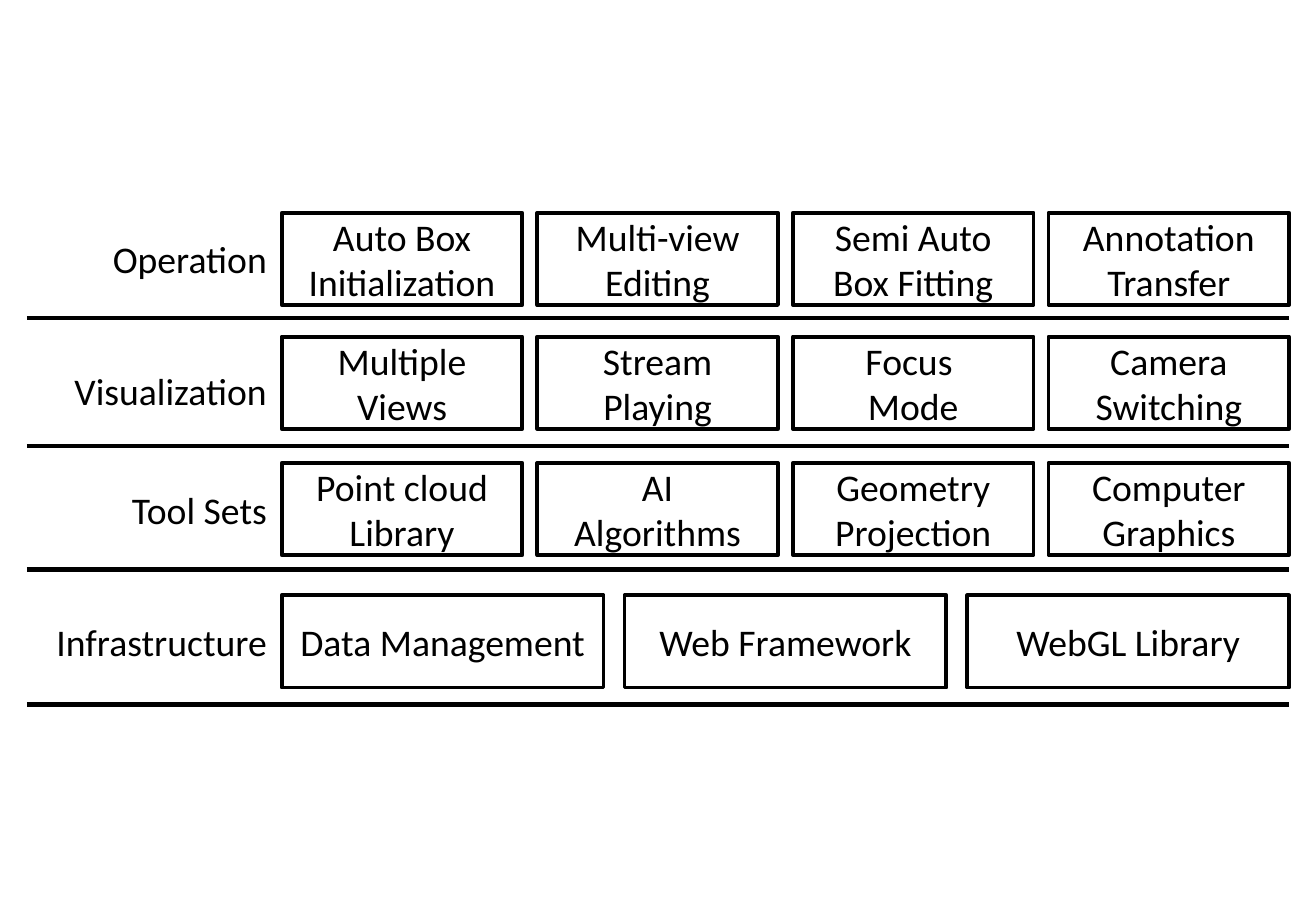
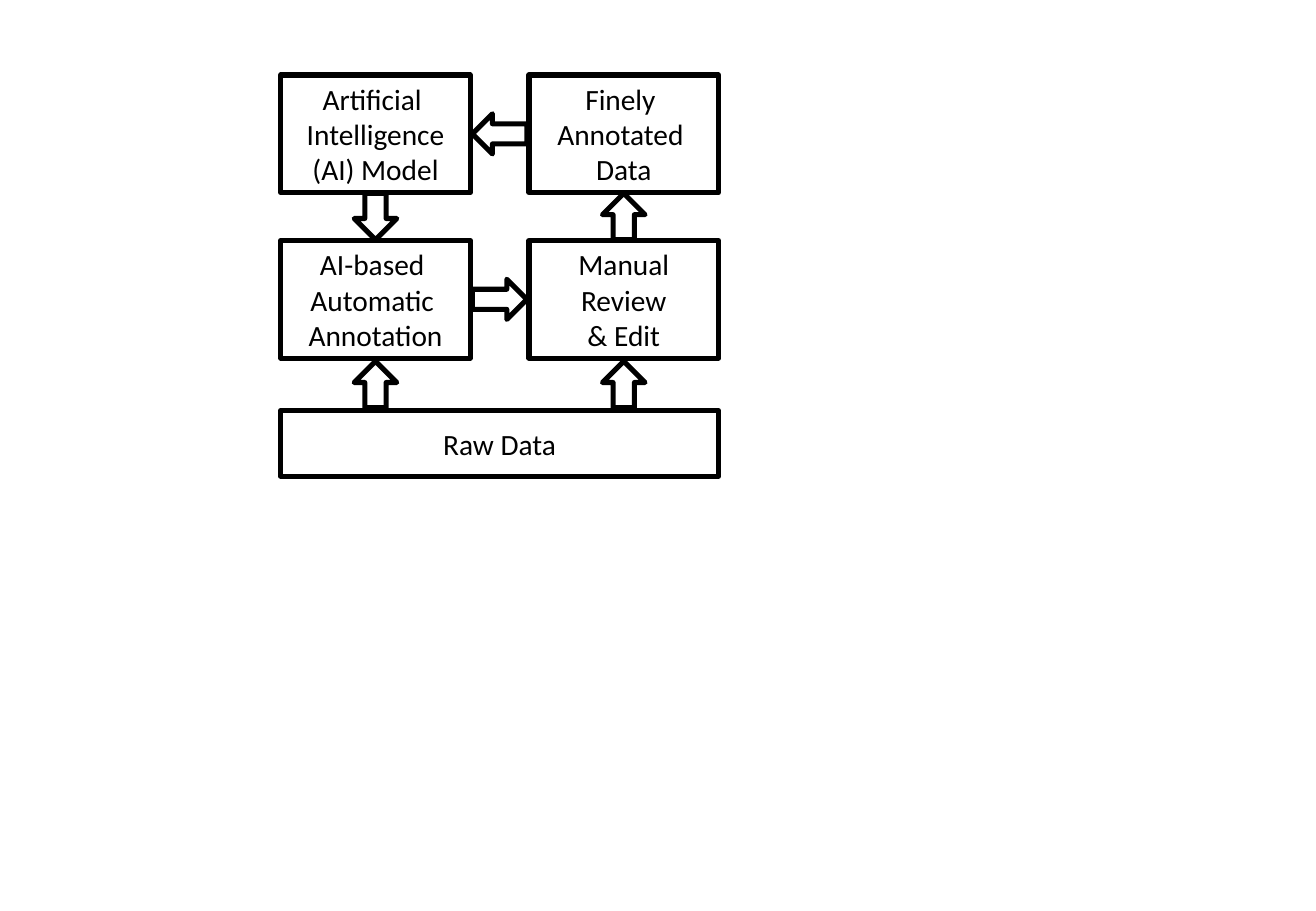
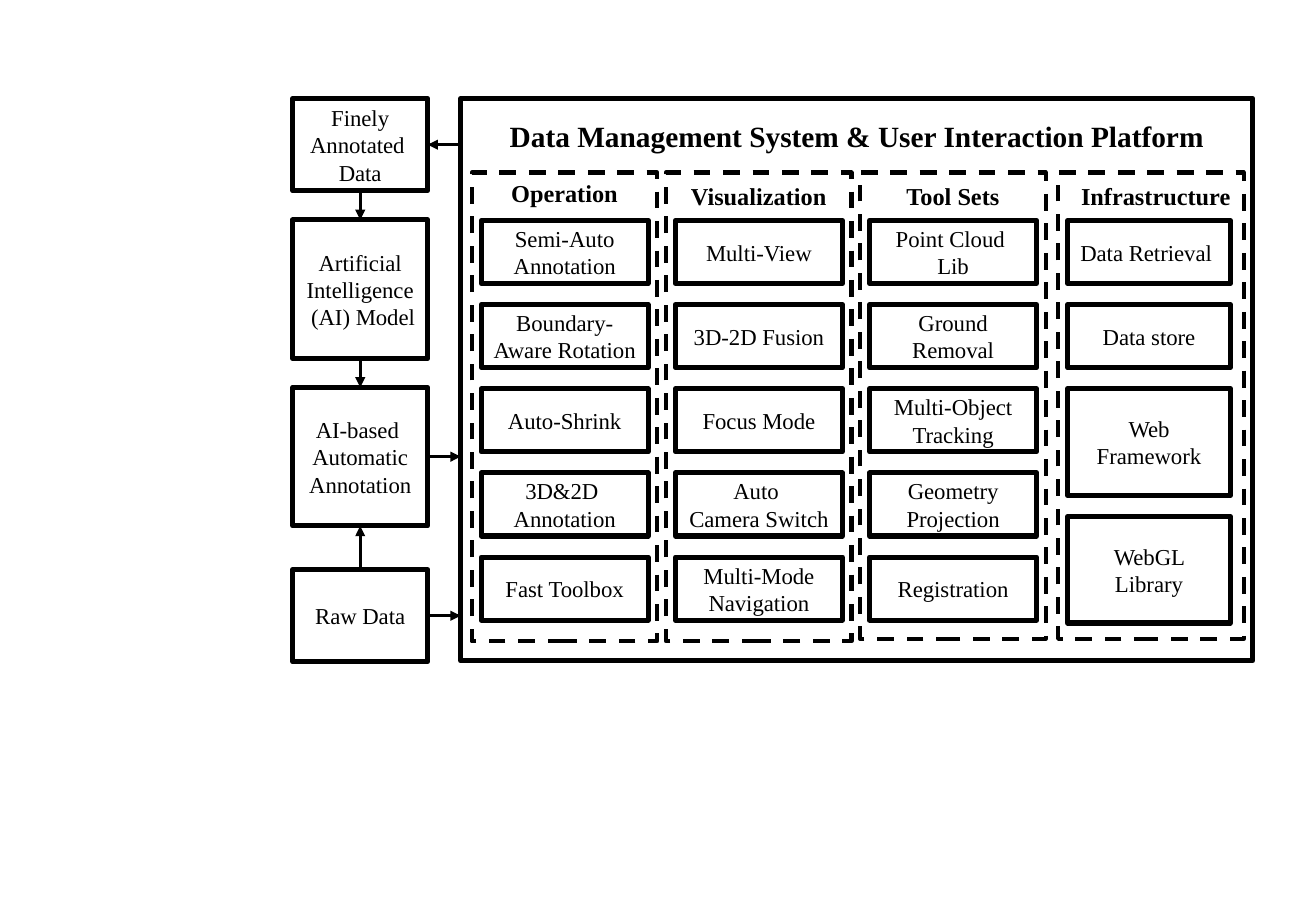
from typing import NamedTuple

from lxml import etree
from pptx import Presentation
from pptx.dml.color import RGBColor
from pptx.enum.dml import MSO_LINE
from pptx.enum.shapes import MSO_CONNECTOR, MSO_SHAPE
from pptx.enum.text import MSO_ANCHOR, PP_ALIGN
from pptx.oxml.ns import qn
from pptx.util import Cm, Pt

BLACK = RGBColor(0x00, 0x00, 0x00)
WHITE = RGBColor(0xFF, 0xFF, 0xFF)

RECTANGLE = MSO_SHAPE.RECTANGLE
LEFT_ARROW, RIGHT_ARROW = MSO_SHAPE.LEFT_ARROW, MSO_SHAPE.RIGHT_ARROW
UP_ARROW, DOWN_ARROW = MSO_SHAPE.UP_ARROW, MSO_SHAPE.DOWN_ARROW
STRAIGHT = MSO_CONNECTOR.STRAIGHT
DASH = MSO_LINE.DASH
TOP, MIDDLE = MSO_ANCHOR.TOP, MSO_ANCHOR.MIDDLE
CENTER, RIGHT = PP_ALIGN.CENTER, PP_ALIGN.RIGHT

LAYER_FONT = {"name": "Calibri", "size": Pt(22.3)}
CYCLE_FONT = {"name": "Calibri", "size": Pt(17.4)}
CARD_FONT = {"name": "Times New Roman", "size": Pt(13.5)}
HEADING_FONT = {"name": "Times New Roman", "size": Pt(14.4), "bold": True}
PLATFORM_FONT = {"name": "Times New Roman", "size": Pt(17.4), "bold": True}

BLANK_LAYOUT = 6


class Box(NamedTuple):
    """A rectangle in centimetres."""
    left: float
    top: float
    width: float
    height: float

    @property
    def right(self):
        return self.left + self.width

    @property
    def bottom(self):
        return self.top + self.height

    @property
    def center(self):
        return self.left + self.width / 2

    @property
    def middle(self):
        return self.top + self.height / 2

    def lengths(self):
        """Return the four values as slide lengths."""
        return [Cm(value) for value in self]


def write_text(shape, text, font, alignment=CENTER, anchor=MIDDLE):
    """Fill a shape with text, one paragraph a line."""
    frame = shape.text_frame
    frame.text = text
    frame.word_wrap = True
    frame.vertical_anchor = anchor
    for paragraph in frame.paragraphs:
        paragraph.alignment = alignment
        for run in paragraph.runs:
            run.font.color.rgb = BLACK
            for name, value in font.items():
                setattr(run.font, name, value)


def add_outlined(slide, box, text="", font=None, weight=3, preset=RECTANGLE):
    """Add a white shape with a black outline and optional text."""
    shape = slide.shapes.add_shape(preset, *box.lengths())
    shape.shadow.inherit = False
    shape.fill.solid()
    shape.fill.fore_color.rgb = WHITE
    shape.line.color.rgb = BLACK
    shape.line.width = Pt(weight)
    if text:
        write_text(shape, text, font)
    return shape


def add_label(slide, box, text, font, alignment=CENTER, anchor=TOP):
    """Add text without an outline."""
    label = slide.shapes.add_textbox(*box.lengths())
    write_text(label, text, font, alignment, anchor)


def add_line(slide, start, end, weight, arrow=False):
    """Add a straight black line, with an arrowhead at its end if asked."""
    points = [Cm(value) for value in (*start, *end)]
    connector = slide.shapes.add_connector(STRAIGHT, *points)
    connector.line.color.rgb = BLACK
    connector.line.width = Pt(weight)
    properties = connector._element.spPr
    if arrow:
        outline = properties.find(qn("a:ln"))
        etree.SubElement(outline, qn("a:tailEnd"), type="triangle")
    etree.SubElement(properties, qn("a:effectLst"))


def add_layer(slide, box, name, modules, label_top, rule_top):
    """Add one layer: its name, equally spaced modules and the rule below."""
    label_width, left_margin = 5.9, 0.56
    label = Box(box.left - label_width - 0.06, label_top, label_width, box.height)
    add_label(slide, label, name, LAYER_FONT, RIGHT, MIDDLE)
    width = 6.73 if len(modules) == 3 else 5.03
    step = (box.width - width) / (len(modules) - 1)
    for index, module in enumerate(modules):
        module_box = Box(box.left + index * step, box.top, width, box.height)
        add_outlined(slide, module_box, module, LAYER_FONT, 2.25)
    add_line(slide, (left_margin, rule_top), (box.right, rule_top), 2.5)


def build_layers(slide):
    """Build the four-layer architecture."""
    # name, top, label top, rule top, modules
    layers = [
        ("Operation", 4.45, 4.45, 6.65,
         ["Auto Box Initialization", "Multi-view\nEditing",
          "Semi Auto\nBox Fitting", "Annotation\nTransfer"]),
        ("Visualization", 7.04, 7.21, 9.32,
         ["Multiple\nViews", "Stream Playing", "Focus\u00a0\nMode",
          "Camera Switching"]),
        ("Tool Sets", 9.68, 9.68, 11.91,
         ["Point cloud Library", "AI\nAlgorithms", "Geometry Projection",
          "Computer\nGraphics"]),
        ("Infrastructure", 12.45, 12.45, 14.73,
         ["Data Management", "Web Framework", "WebGL Library"]),
    ]
    for name, top, label_top, rule_top, modules in layers:
        add_layer(slide, Box(5.89, top, 21.06, 1.93), name, modules,
                  label_top, rule_top)


def add_arrow_between(slide, preset, first, second):
    """Centre a block arrow in the gap between two boxes."""
    if preset in (LEFT_ARROW, RIGHT_ARROW):
        width, height = 1.14, 0.84
        center, middle = (first.right + second.left) / 2, first.middle
    else:
        width, height = 0.89, 0.97
        center, middle = first.center, (first.bottom + second.top) / 2
    box = Box(center - width / 2, middle - height / 2, width, height)
    add_outlined(slide, box, preset=preset)


def build_cycle(slide, box):
    """Build the annotation cycle above its raw data."""
    width, height, row_step, raw_height = 3.96, 2.46, 3.46, 1.37
    right_column, second_row = box.right - width, box.top + row_step
    model = Box(box.left, box.top, width, height)
    annotated = Box(right_column, box.top, width, height)
    automatic = Box(box.left, second_row, width, height)
    review = Box(right_column, second_row, width, height)
    raw = Box(box.left, box.bottom - raw_height, box.width, raw_height)

    steps = [
        (model, "Artificial \nIntelligence\n(AI) Model"),
        (annotated, "Finely \nAnnotated \nData"),
        (automatic, "AI-based\u00a0\nAutomatic \nAnnotation"),
        (review, "Manual\nReview\n& Edit"),
        (raw, "Raw Data"),
    ]
    for step_box, text in steps:
        add_outlined(slide, step_box, text, CYCLE_FONT)

    arrows = [
        (LEFT_ARROW, model, annotated),
        (RIGHT_ARROW, automatic, review),
        (DOWN_ARROW, model, automatic),
        (UP_ARROW, annotated, review),
        (UP_ARROW, automatic, raw),
        (UP_ARROW, review, raw),
    ]
    for preset, first, second in arrows:
        add_arrow_between(slide, preset, first, second)


def add_column(slide, box, heading, shift, cards, card_width):
    """Add a dashed column with its heading and stacked cards."""
    column = add_outlined(slide, box, weight=2.5)
    column.fill.background()
    column.line.dash_style = DASH
    across, down = shift
    heading_box = Box(box.left + across, box.top + down, box.width, 0.86)
    add_label(slide, heading_box, heading, HEADING_FONT)
    top, gap = box.top + 1, 0.44
    for text, height in cards:
        card = Box(box.left + 0.2, top, card_width, height)
        add_outlined(slide, card, text, CARD_FONT)
        top += height + gap


def build_platform(slide, box):
    """Build the platform frame with its title and four columns."""
    add_outlined(slide, box)
    title = Box(box.left, box.top + 0.28, box.width, 0.99)
    add_label(slide, title, "Data Management System & User Interaction Platform",
              PLATFORM_FONT)
    low, tall = 1.32, 2.23
    # heading, offset from the frame, height, heading shift, card width, cards
    columns = [
        ("Operation", 0.23, 9.8, (0, 0), 3.49,
         [("Semi-Auto\nAnnotation", low), ("Boundary-Aware Rotation", low),
          ("Auto-Shrink", low), ("3D&2D\u00a0\nAnnotation", low),
          ("Fast Toolbox", low)]),
        ("Visualization", 4.29, 9.8, (0, 0.05), 3.49,
         [("Multi-View", low), ("3D-2D Fusion", low),
          ("Focus\u00a0Mode", low), ("Auto\u00a0\nCamera Switch", low),
          ("Multi-Mode\nNavigation", low)]),
        ("Tool Sets", 8.35, 9.75, (0, 0.05), 3.49,
         [("Point Cloud \nLib", low), ("Ground Removal", low),
          ("Multi-Object\nTracking", low), ("Geometry Projection", low),
          ("Registration", low)]),
        ("Infrastructure", 12.49, 9.75, (0.1, 0.05), 3.4,
         [("Data Retrieval ", low), ("Data store", low),
          ("Web Framework", tall), ("WebGL Library", tall)]),
    ]
    for heading, offset, height, shift, card_width, cards in columns:
        column = Box(box.left + offset, box.top + 1.55, 3.88, height)
        add_column(slide, column, heading, shift, cards, card_width)


def build_pipeline(slide, left, platform):
    """Build the data pipeline and its arrows beside the platform."""
    width = 2.82
    annotated = Box(left, platform.top, width, 1.93)
    model = Box(left, platform.top + 2.54, width, 2.9)
    automatic = Box(left, platform.top + 6.04, width, 2.9)
    raw = Box(left, platform.bottom - 1.91, width, 1.93)
    stages = [
        (annotated, "Finely Annotated \nData"),
        (model, "Artificial Intelligence\n (AI) Model"),
        (automatic, "AI-based\u00a0\nAutomatic Annotation"),
        (raw, "Raw Data"),
    ]
    for box, text in stages:
        add_outlined(slide, box, text, CARD_FONT)

    center = annotated.center
    arrows = [
        ((platform.left, annotated.middle), (annotated.right, annotated.middle)),
        ((center, annotated.bottom), (center, model.top)),
        ((center, model.bottom), (center, automatic.top)),
        ((center, raw.top), (center, automatic.bottom)),
        ((automatic.right, automatic.middle), (platform.left, automatic.middle)),
        ((raw.right, raw.middle), (platform.left, raw.middle)),
    ]
    for start, end in arrows:
        add_line(slide, start, end, 2, arrow=True)


def main():
    """Build and save the three slides."""
    presentation = Presentation()
    presentation.slide_width = Cm(27.51)
    presentation.slide_height = Cm(19.05)
    layout = presentation.slide_layouts[BLANK_LAYOUT]
    layers, cycle, system = [presentation.slides.add_slide(layout)
                             for _ in range(3)]
    build_layers(layers)
    build_cycle(cycle, Box(5.87, 1.57, 9.15, 8.39))
    platform = Box(9.63, 2.06, 16.56, 11.76)
    build_platform(system, platform)
    build_pipeline(system, 6.12, platform)
    presentation.save("out.pptx")


main()
